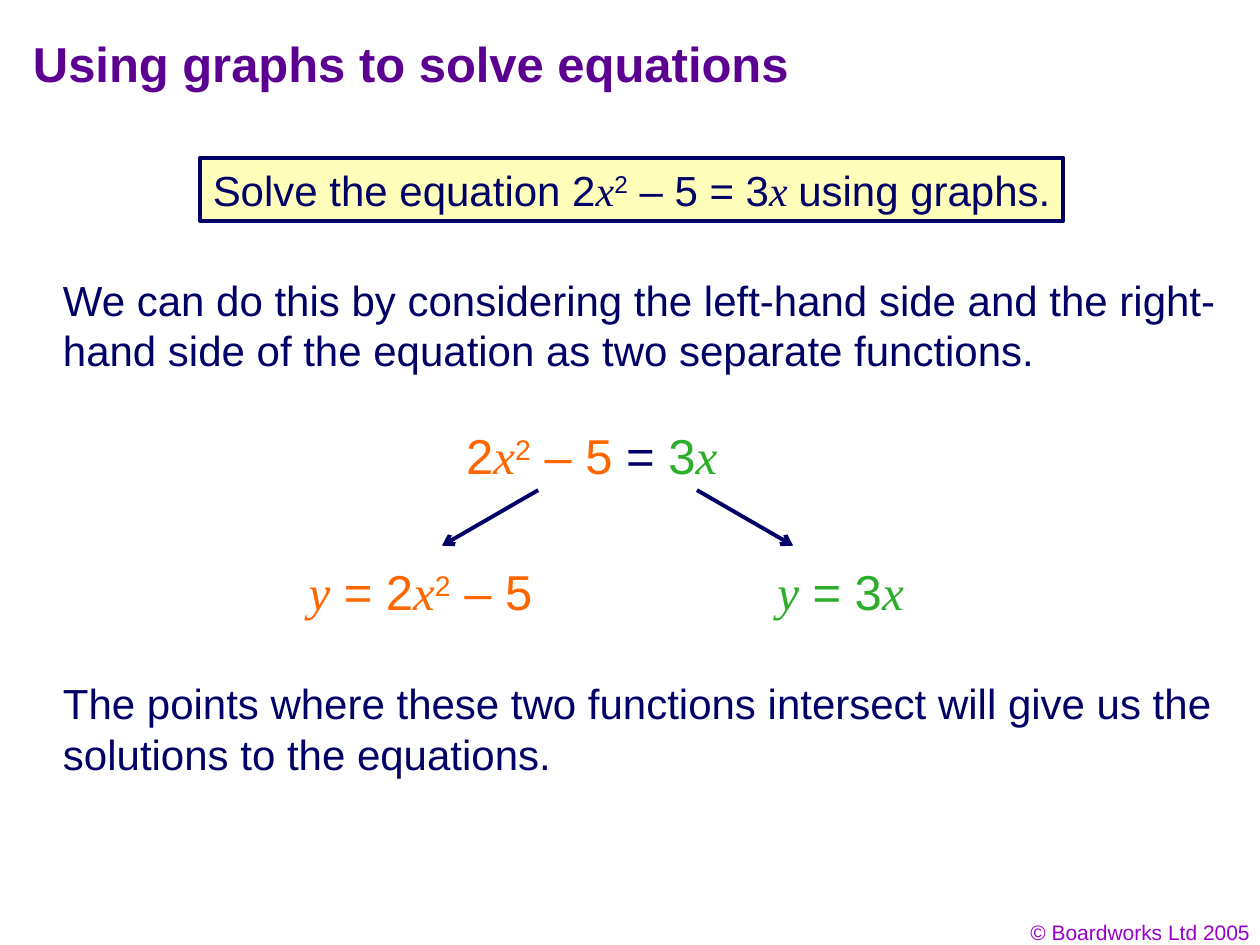
from pptx import Presentation
from pptx.dml.color import RGBColor
from pptx.enum.shapes import MSO_CONNECTOR, MSO_SHAPE
from pptx.enum.text import MSO_ANCHOR as ANCHOR, MSO_AUTO_SIZE as AUTO_SIZE, PP_ALIGN as ALIGN
from pptx.oxml.ns import qn
from pptx.util import Cm, Pt
from lxml.etree import SubElement

PURPLE = RGBColor(0x5B, 0x00, 0x91)
VIOLET = RGBColor(0x99, 0x00, 0xCC)
NAVY = RGBColor(0x00, 0x00, 0x66)
INK = RGBColor(0x01, 0x00, 0x66)
CREAM = RGBColor(0xFF, 0xFF, 0xBB)
ORANGE = RGBColor(0xFF, 0x66, 0x00)
GREEN = RGBColor(0x2C, 0xAE, 0x2C)

PLAIN, VARIABLE, POWER = range(3)
QUADRATIC = [("2", PLAIN), ("x", VARIABLE), ("2", POWER), (" – 5", PLAIN)]
LINEAR = [("3", PLAIN), ("x", VARIABLE)]
Y_EQUALS = [("y", VARIABLE), (" = ", PLAIN)]


def set_font(font, size, colour, name="Arial"):
    font.name = name
    font.size = Pt(size)
    font.color.rgb = colour


def add_text_box(slide, box, wrap=True):
    frame = slide.shapes.add_textbox(*map(Cm, box)).text_frame
    frame.word_wrap = wrap
    return frame


def add_math(paragraph, terms, size, colour):
    """Append terms, with variables in italic serif and powers raised."""
    for text, kind in terms:
        run = paragraph.add_run()
        run.text = text
        is_variable = kind == VARIABLE
        set_font(run.font, size, colour, "Times New Roman" if is_variable else "Arial")
        run.font.italic = is_variable
        if kind == POWER:
            run._r.get_or_add_rPr().set("baseline", "30000")


def place_title(slide, box, text):
    title = slide.shapes.title
    title.left, title.top, title.width, title.height = map(Cm, box)
    frame = title.text_frame
    frame.text = text
    frame.auto_size = AUTO_SIZE.NONE
    frame.vertical_anchor = ANCHOR.MIDDLE
    paragraph = frame.paragraphs[0]
    paragraph.alignment = ALIGN.LEFT
    set_font(paragraph.font, 28, PURPLE)
    paragraph.font.bold = True


def add_question(slide, box):
    panel = slide.shapes.add_shape(MSO_SHAPE.RECTANGLE, *map(Cm, box))
    panel.shadow.inherit = False
    panel.fill.solid()
    panel.fill.fore_color.rgb = CREAM
    panel.line.color.rgb = NAVY
    panel.line.width = Pt(2.25)
    panel.text_frame.word_wrap = False
    paragraph = panel.text_frame.paragraphs[0]
    paragraph.alignment = ALIGN.LEFT
    terms = [("Solve the equation ", PLAIN), *QUADRATIC, (" = ", PLAIN),
             ("3", PLAIN), ("x ", VARIABLE), ("using graphs.", PLAIN)]
    add_math(paragraph, terms, 24, INK)


def add_statement(slide, box, text, size=24, colour=INK, align=ALIGN.LEFT):
    paragraph = add_text_box(slide, box).paragraphs[0]
    paragraph.text = text
    paragraph.alignment = align
    set_font(paragraph.font, size, colour)


def add_equation(slide, box, sides):
    """Write one line of (terms, colour) sides."""
    paragraph = add_text_box(slide, box, wrap=False).paragraphs[0]
    for terms, colour in sides:
        add_math(paragraph, terms, 28, colour)


def add_arrow(slide, start, end):
    arrow = slide.shapes.add_connector(MSO_CONNECTOR.STRAIGHT, *map(Cm, start + end))
    arrow.line.color.rgb = NAVY
    arrow.line.width = Pt(2.25)
    SubElement(arrow.line._get_or_add_ln(), qn("a:tailEnd"), type="arrow")
    SubElement(arrow._element.spPr, qn("a:effectLst"))


def add_equation_split(slide, box):
    """Show the equation at the top and its two functions below, joined by arrows."""
    left, top, width, height = box
    line_height = 1.45
    functions_top = top + height - line_height
    add_equation(slide, (left + 3.18, top, 5.56, line_height),
                 [(QUADRATIC, ORANGE), ([(" = ", PLAIN)], INK), (LINEAR, GREEN)])
    add_equation(slide, (left, functions_top, 5.28, line_height),
                 [(Y_EQUALS + QUADRATIC, ORANGE)])
    linear_width = 3.05
    add_equation(slide, (left + width - linear_width, functions_top, linear_width, line_height),
                 [(Y_EQUALS + LINEAR, GREEN)])

    centre = left + 6.48
    for side in (-1, 1):
        add_arrow(slide, (centre + side * 1.6, top + 1.42),
                  (centre + side * 3.54, top + 2.54))


def main():
    presentation = Presentation()
    presentation.slide_width, presentation.slide_height = Cm(25.4), Cm(19.05)
    slide = presentation.slides.add_slide(presentation.slide_layouts[5])

    add_statement(slide, (19.53, 18.41, 5.92, 0.76), "© Boardworks Ltd 2005",
                  size=12, colour=VIOLET, align=ALIGN.RIGHT)
    place_title(slide, (0.41, 0.41, 21.59, 1.7), "Using graphs to solve equations")
    add_question(slide, (4.04, 3.18, 17.4, 1.27))
    add_statement(slide, (1.02, 5.41, 23.75, 2.29),
                  "We can do this by considering the left-hand side and the right-hand side "
                  "of the equation as two separate functions.")
    add_equation_split(slide, (5.97, 8.46, 12.5, 4.19))
    add_statement(slide, (1.02, 13.54, 23.75, 2.29),
                  "The points where these two functions intersect will give us the solutions "
                  "to the equations.")

    presentation.save("out.pptx")


if __name__ == "__main__":
    main()
